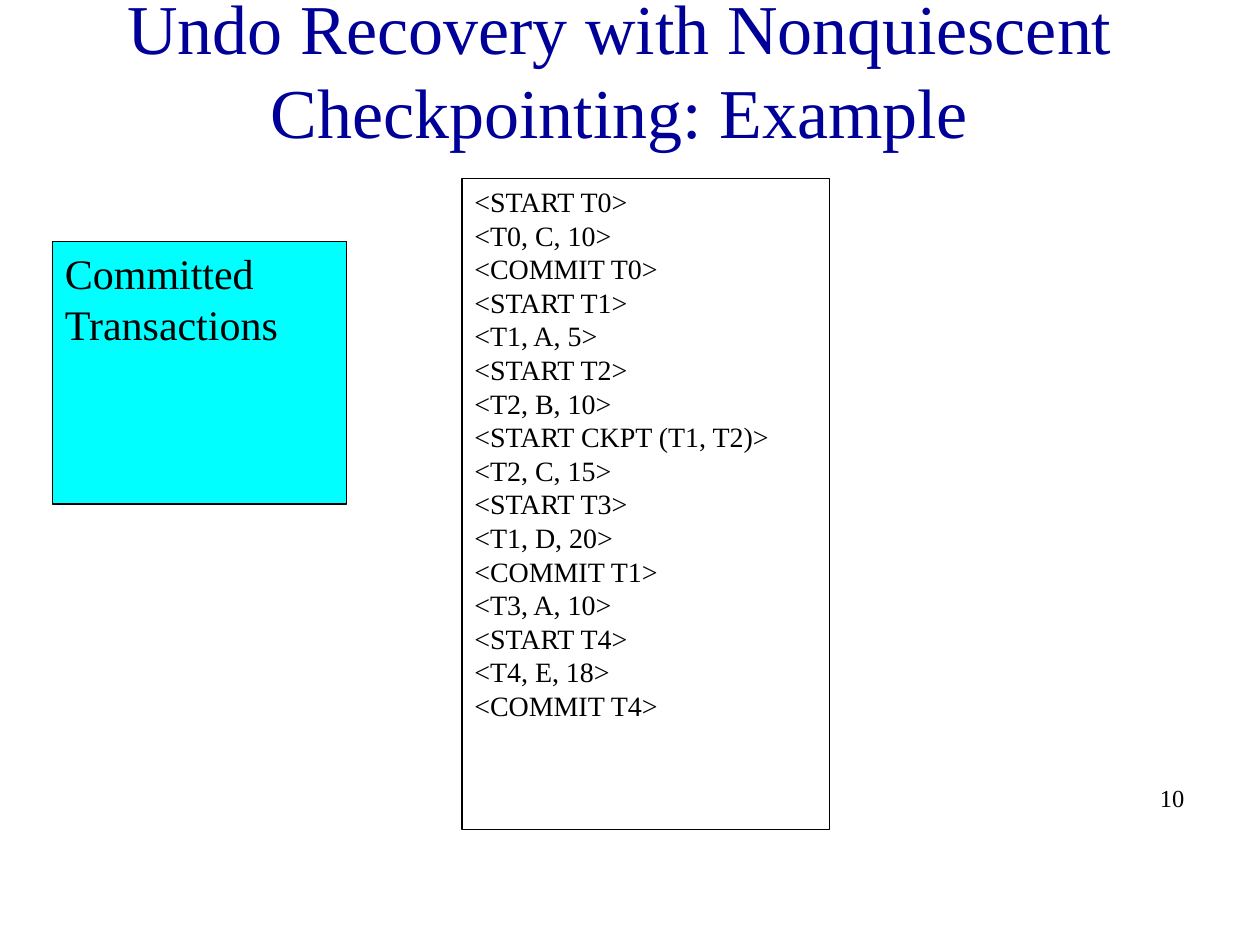
from pptx import Presentation
from pptx.dml.color import RGBColor
from pptx.enum.shapes import MSO_SHAPE as Shape
from pptx.enum.text import MSO_ANCHOR as Anchor, MSO_AUTO_SIZE as AutoSize, PP_ALIGN as Align
from pptx.util import Pt


def color(hex_string):
    return RGBColor.from_string(hex_string)


def write(frame, lines, size, hex_string="000000", align=Align.LEFT, anchor=Anchor.TOP):
    frame.word_wrap = True
    frame.auto_size = AutoSize.NONE
    frame.vertical_anchor = anchor
    frame.text = "\n".join(lines)
    for paragraph in frame.paragraphs:
        paragraph.alignment = align
        paragraph.font.name = "Times New Roman"
        paragraph.font.size = Pt(size)
        paragraph.font.color.rgb = color(hex_string)


prs = Presentation()
prs.slide_width, prs.slide_height = Pt(720), Pt(540)
slide = prs.slides.add_slide(prs.slide_layouts[5])

# Title
title = slide.shapes.title
title.left, title.top, title.width, title.height = Pt(12), Pt(12), Pt(684), Pt(54)
write(title.text_frame, ["Undo Recovery with Nonquiescent Checkpointing: Example"],
      40, "000099", Align.CENTER, Anchor.MIDDLE)

# Slide number
page_number = slide.shapes.add_textbox(Pt(534), Pt(444), Pt(150), Pt(36))
write(page_number.text_frame, ["10"], 14, align=Align.RIGHT)

# Log records and committed transactions
log_records = [
    "<START T0>", "<T0, C, 10>", "<COMMIT T0>",
    "<START T1>", "<T1, A, 5>",
    "<START T2>", "<T2, B, 10>",
    "<START CKPT (T1, T2)>",
    "<T2, C, 15>", "<START T3>", "<T1, D, 20>", "<COMMIT T1>",
    "<T3, A, 10>", "<START T4>", "<T4, E, 18>", "<COMMIT T4>",
]
panels = [
    (264, 102, 210, 372, None, log_records, 16, 0),
    (30, 138, 168, 150, "00FFFF", ["Committed Transactions"], 24, 6),
]
for left, top, width, height, fill, lines, size, space_before in panels:
    panel = slide.shapes.add_shape(Shape.RECTANGLE, Pt(left), Pt(top), Pt(width), Pt(height))
    panel.shadow.inherit = False
    if fill:
        panel.fill.solid()
        panel.fill.fore_color.rgb = color(fill)
    else:
        panel.fill.background()
    panel.line.color.rgb = color("000000")
    panel.line.width = Pt(0.75)
    write(panel.text_frame, lines, size)
    panel.text_frame.paragraphs[0].space_before = Pt(space_before)

prs.save("out.pptx")
